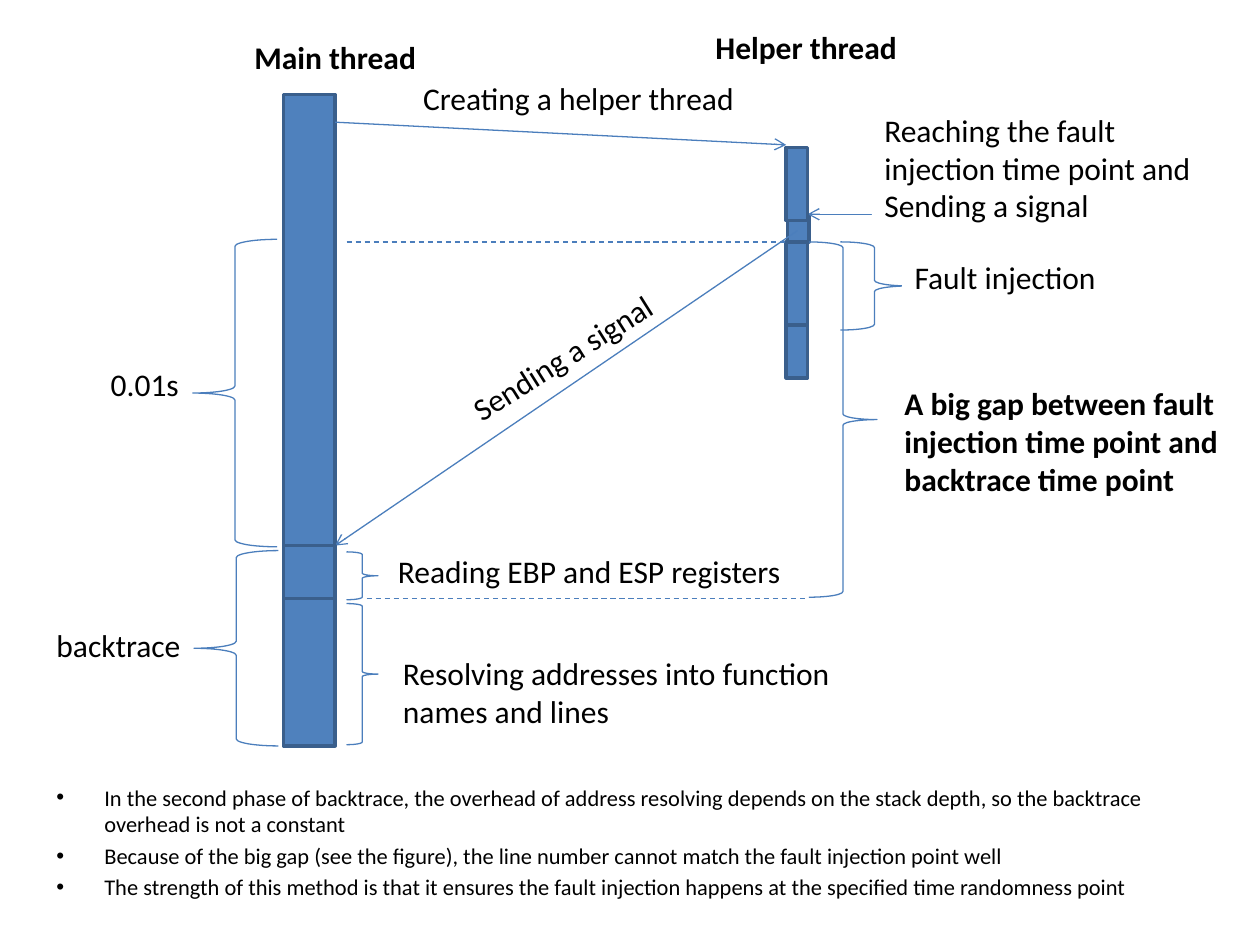
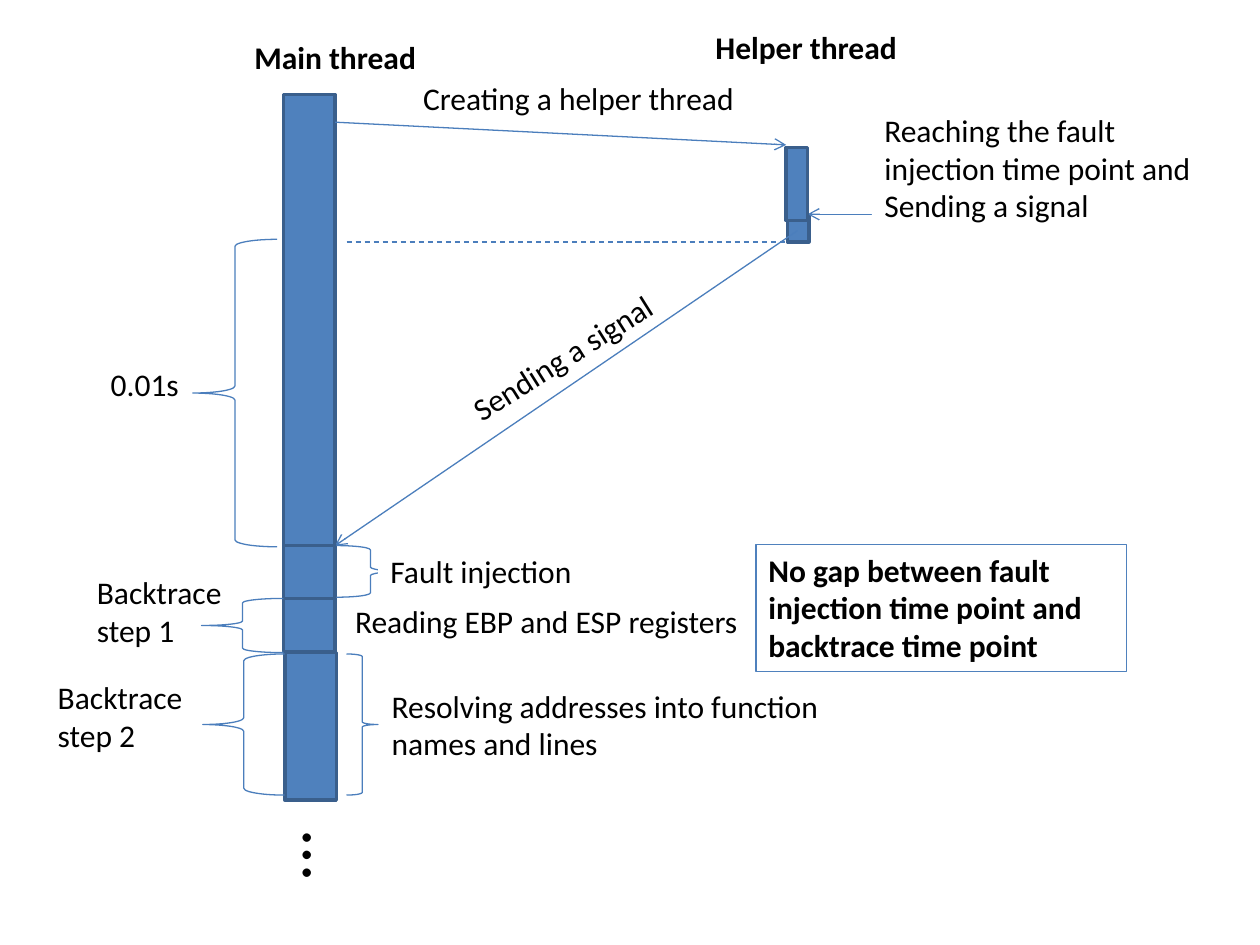
from lxml.etree import SubElement
from pptx import Presentation
from pptx.dml.color import RGBColor
from pptx.enum.dml import MSO_LINE_DASH_STYLE as Dash
from pptx.enum.shapes import MSO_CONNECTOR as Connector, MSO_SHAPE as Shape
from pptx.enum.text import MSO_AUTO_SIZE as AutoSize
from pptx.oxml.ns import qn
from pptx.util import Inches, Pt

FONT = "Calibri"
TEXT, WHITE = "000000", "FFFFFF"
BAR_FILL, BAR_EDGE, LINE = "4F81BD", "3A5F8C", "4B7EBC"
MAIN_LEFT, MAIN_WIDTH = 2.25, 0.41
MAIN_RIGHT = MAIN_LEFT + MAIN_WIDTH
HELPER_LEFT, HELPER_WIDTH = 6.24, 0.17
INJECTION_Y, SIGNAL_Y = 1.92, 4.33
STEP = 0.42
RESOLVING = "Resolving addresses into function names and lines"
READING = "Reading EBP and ESP registers"
FINDINGS = [
    "In the second phase of backtrace, the overhead of address resolving depends on "
    "the stack depth, so the backtrace overhead is not a constant",
    "Because of the big gap (see the figure), the line number cannot match "
    "the fault injection point well",
    "The strength of this method is that it ensures the fault injection happens "
    "at the specified time randomness point",
]


def color(hex_string):
    return RGBColor.from_string(hex_string)


def set_line(line, hex_string, width):
    line.color.rgb = color(hex_string)
    line.width = Pt(width)


def inches(*lengths):
    return [Inches(length) for length in lengths]


def add_bar(slide, left, top, width, height):
    """Draw one phase of a thread's time line."""
    bar = slide.shapes.add_shape(Shape.RECTANGLE, *inches(left, top, width, height))
    bar.shadow.inherit = False
    bar.fill.solid()
    bar.fill.fore_color.rgb = color(BAR_FILL)
    set_line(bar.line, BAR_EDGE, 2)


def add_main_bar(slide, top, height, left=MAIN_LEFT):
    add_bar(slide, left, top, MAIN_WIDTH, height)


def add_helper_bar(slide, top, height, left=HELPER_LEFT):
    add_bar(slide, left, top, HELPER_WIDTH, height)


def add_brace(slide, kind, left, top, width, height):
    brace = slide.shapes.add_shape(kind, *inches(left, top, width, height))
    brace.shadow.inherit = False
    brace.fill.background()
    set_line(brace.line, LINE, 0.75)


def add_line(slide, start, end, arrow=False):
    """Draw an arrow, or a dashed time mark when arrow is False."""
    connector = slide.shapes.add_connector(Connector.STRAIGHT, *inches(*start, *end))
    set_line(connector.line, LINE, 0.75)
    if arrow:
        SubElement(connector.line._get_or_add_ln(), qn("a:tailEnd"), type="arrow")
    else:
        connector.line.dash_style = Dash.DASH
    SubElement(connector._element.spPr, qn("a:effectLst"))


def add_label(slide, lines, left, top, width, height=0.4, *, size=18, bold=False,
              wrap=False, fill=None, edge=None, rotation=0):
    box = slide.shapes.add_textbox(*inches(left, top, width, height))
    box.rotation = rotation
    if fill:
        box.fill.solid()
        box.fill.fore_color.rgb = color(fill)
    if edge:
        set_line(box.line, edge, 0.75)
    frame = box.text_frame
    frame.word_wrap = wrap
    frame.auto_size = AutoSize.SHAPE_TO_FIT_TEXT
    frame.text = lines
    for paragraph in frame.paragraphs:
        font = paragraph.font
        font.name, font.size, font.bold = FONT, Pt(size), bold
        font.color.rgb = color(TEXT)
    return box


def add_bullets(slide, items, left, top, width, height):
    box = add_label(slide, "\n".join(items), left, top, width, height, size=12.8, wrap=True)
    box.text_frame.auto_size = AutoSize.NONE
    for paragraph in box.text_frame.paragraphs:
        paragraph.space_before = Pt(2.56)
        properties = paragraph._p.get_or_add_pPr()
        properties.set("marL", str(Inches(0.38)))
        properties.set("indent", str(-Inches(0.38)))
        bullet_font = properties.makeelement(qn("a:buFont"), {"typeface": "Arial"})
        bullet = properties.makeelement(qn("a:buChar"), {"char": "•"})
        properties.find(qn("a:defRPr")).addprevious(bullet_font)
        bullet_font.addnext(bullet)


def add_signal_exchange(slide):
    """Draw the threads up to the signal's arrival, alike on both slides."""
    add_label(slide, "Helper thread", 5.58, 0.17, 1.65, bold=True)
    add_label(slide, "Main thread", 1.92, 0.25, 1.5, bold=True)
    add_helper_bar(slide, 1.71, 0.21, left=6.25)
    add_main_bar(slide, 0.75, SIGNAL_Y - 0.75)
    add_line(slide, (7.08, 1.7), (6.41, 1.7), arrow=True)
    add_label(slide, "Reaching the fault injection time point and\nSending a signal",
              6.92, 0.83, 2.92, 1.01, wrap=True, fill=WHITE)
    add_helper_bar(slide, 1.17, 0.58)
    add_line(slide, (MAIN_RIGHT, 0.97), (HELPER_LEFT, 1.15), arrow=True)
    add_label(slide, "Creating a helper thread", 3.26, 0.58, 2.7)
    add_line(slide, (6.33, 1.83), (MAIN_RIGHT, SIGNAL_Y), arrow=True)
    add_label(slide, "Sending a signal", 3.55, 2.63, 1.84, rotation=327.8)
    add_brace(slide, Shape.LEFT_BRACE, 1.53, 1.9, 0.67, 2.44)
    add_label(slide, "0.01s", 0.78, 2.85, 0.75)
    add_line(slide, (2.75, INJECTION_Y), (6.25, INJECTION_Y))


def add_injection_in_helper(slide):
    reading_end = SIGNAL_Y + STEP
    add_helper_bar(slide, INJECTION_Y, 0.71)
    add_signal_exchange(slide)
    add_helper_bar(slide, 2.58, STEP)
    add_main_bar(slide, SIGNAL_Y, STEP)
    add_main_bar(slide, reading_end, 1.17)
    add_line(slide, (2.91, reading_end), (6.42, reading_end))

    add_brace(slide, Shape.LEFT_BRACE, 1.54, 4.37, 0.67, 1.55)
    add_label(slide, "backtrace", 0.35, 4.92, 1.2)
    add_brace(slide, Shape.RIGHT_BRACE, 2.75, 4.38, 0.25, 0.38)
    add_label(slide, READING, 3.06, SIGNAL_Y, 3.27)
    add_brace(slide, Shape.RIGHT_BRACE, 2.75, 4.79, 0.25, 1.12)
    add_label(slide, RESOLVING, 3.1, 5.14, 4.07, 0.71, wrap=True)

    add_brace(slide, Shape.RIGHT_BRACE, 6.42, INJECTION_Y, 0.54, 2.82)
    add_brace(slide, Shape.RIGHT_BRACE, 6.67, INJECTION_Y, 0.54, 0.7)
    add_label(slide, "Fault injection", 7.16, 2, 2.01, wrap=True, fill=WHITE)
    add_label(slide, "A big gap between fault injection time point and backtrace time point",
              7.08, 3, 2.94, 1.01, bold=True, wrap=True)
    add_bullets(slide, FINDINGS, 0.35, 6.17, 9.17, 1.08)


def add_injection_in_main(slide):
    add_signal_exchange(slide)
    for step in range(2):
        add_main_bar(slide, SIGNAL_Y + step * STEP, STEP)
    add_main_bar(slide, 5.18, 1.17, left=2.26)

    add_brace(slide, Shape.LEFT_BRACE, 1.6, 4.75, 0.65, 0.43)
    add_label(slide, "Backtrace step 1", 0.67, 4.5, 1.25, 0.71, wrap=True)
    add_brace(slide, Shape.LEFT_BRACE, 1.61, 5.19, 0.65, 1.12)
    add_label(slide, "Backtrace step 2", 0.36, 5.33, 1.25, 0.71, wrap=True)

    add_label(slide, READING, 2.72, 4.73, 3.27)
    add_brace(slide, Shape.RIGHT_BRACE, 2.75, 5.19, 0.25, 1.12)
    add_label(slide, RESOLVING, 3.01, 5.4, 4.07, 0.71, wrap=True)
    add_brace(slide, Shape.RIGHT_BRACE, 2.67, SIGNAL_Y, 0.54, 0.41)
    add_label(slide, "Fault injection", 3, SIGNAL_Y, 2.01, wrap=True, fill=WHITE)
    add_label(slide, "No gap between fault injection time point and backtrace time point",
              6, 4.32, 2.94, 1.01, bold=True, wrap=True, fill=WHITE, edge=BAR_FILL)
    add_label(slide, "…", 2.33, 6.41, 0.59, 0.77, size=40, rotation=90)


def main():
    presentation = Presentation()
    presentation.slide_width, presentation.slide_height = inches(10, 7.5)
    blank = presentation.slide_layouts[6]
    for add_diagram in (add_injection_in_helper, add_injection_in_main):
        add_diagram(presentation.slides.add_slide(blank))
    presentation.save("out.pptx")


if __name__ == "__main__":
    main()
